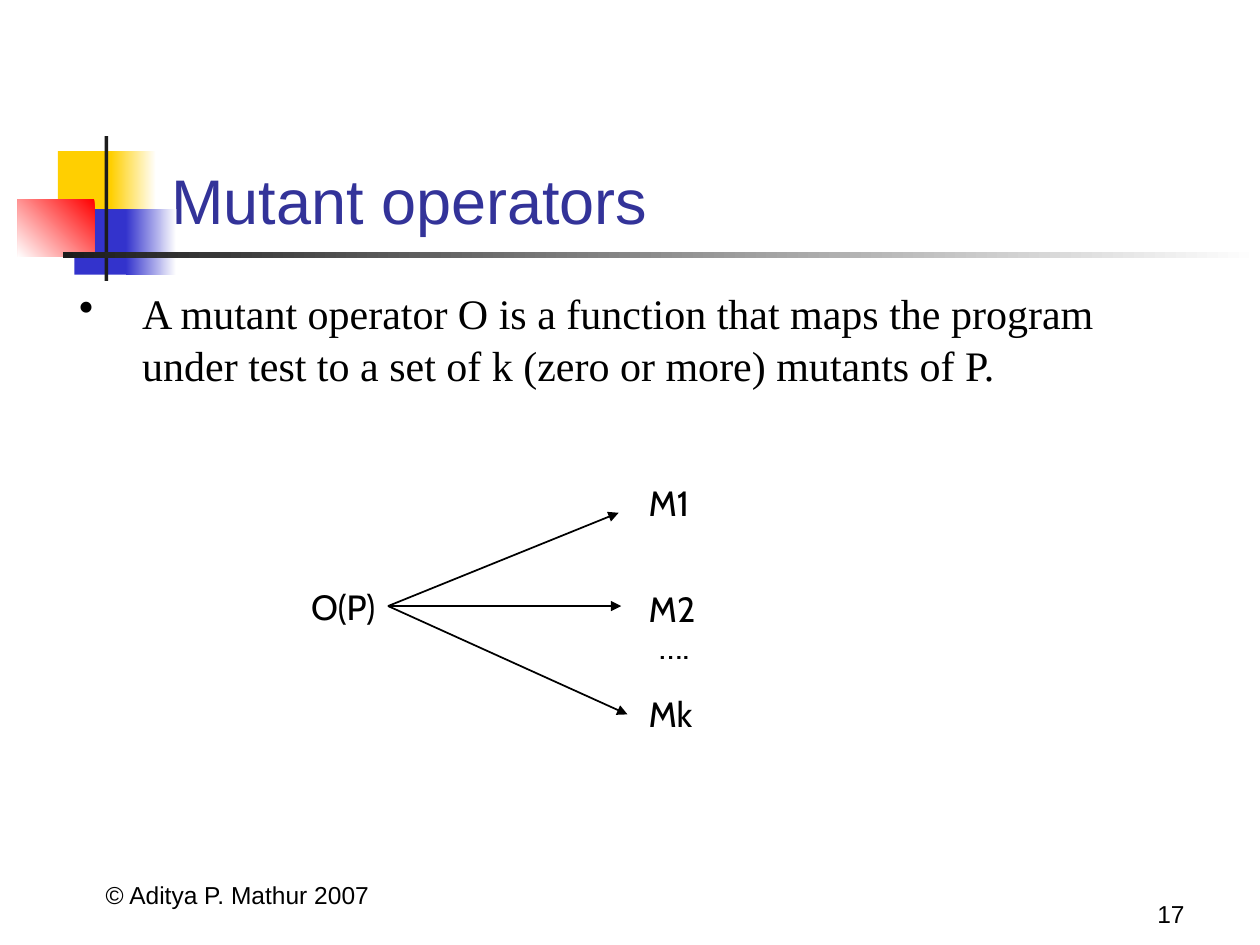
from lxml import etree
from pptx import Presentation
from pptx.dml.color import RGBColor
from pptx.enum.shapes import MSO_CONNECTOR, MSO_SHAPE
from pptx.enum.text import MSO_ANCHOR, PP_ALIGN
from pptx.oxml.ns import qn
from pptx.util import Pt

PX = 9144  # 100 px to the inch
RECT = MSO_SHAPE.RECTANGLE
LINE = MSO_CONNECTOR.STRAIGHT
TOP, BOTTOM = MSO_ANCHOR.TOP, MSO_ANCHOR.BOTTOM
LEFT, MID, RIGHT = PP_ALIGN.LEFT, PP_ALIGN.CENTER, PP_ALIGN.RIGHT

BLACK = RGBColor(0, 0, 0)
WHITE = RGBColor(255, 255, 255)
GOLD = RGBColor(0xFF, 0xCF, 0x01)
BLUE = RGBColor(0x33, 0x33, 0xCC)
RED = RGBColor(0xFF, 0, 0)
DARK = RGBColor(0x1C, 0x1C, 0x1C)
NAVY = RGBColor(0x33, 0x33, 0x99)


def emu(*nums):
    return [n * PX for n in nums]


def style(para, font, size, color=BLACK):
    for run in para.runs:
        run.font.name = font
        run.font.size = Pt(size)
        run.font.color.rgb = color


def label(slide, box, text, font, size, align=LEFT, anchor=TOP, wrap=True):
    frame = slide.shapes.add_textbox(*emu(*box)).text_frame
    frame.word_wrap = wrap
    frame.vertical_anchor = anchor
    frame.text = text
    para = frame.paragraphs[0]
    para.alignment = align
    style(para, font, size)
    return para


def block(slide, box, color, fade=None):
    """Add a plain block, or one that fades to white at the angle given."""
    shape = slide.shapes.add_shape(RECT, *emu(*box))
    shape.shadow.inherit = False
    shape.line.fill.background()
    if fade is None:
        shape.fill.solid()
        shape.fill.fore_color.rgb = color
        return
    shape.fill.gradient()
    shape.fill.gradient_angle = fade
    for stop, tone in zip(shape.fill.gradient_stops, (color, WHITE)):
        stop.color.rgb = tone


def motif(slide, x, y):
    """Draw the coloured blocks and the two rules beside the title."""
    parts = [
        (32, 12, 48, 52, GOLD, None),
        (74, 12, 36, 52, GOLD, 0),
        (45, 58, 46, 52, BLUE, None),
        (86, 58, 40, 52, BLUE, 0),
        (0, 50, 61, 46, RED, 225),
        (69, 0, 3, 115, DARK, None),
        (36, 92, 950, 5, DARK, 0),
    ]
    for dx, dy, w, h, color, fade in parts:
        block(slide, (x + dx, y + dy, w, h), color, fade)


def title(slide, box, text):
    shape = slide.shapes.title
    shape.left, shape.top, shape.width, shape.height = emu(*box)
    frame = shape.text_frame
    frame.vertical_anchor = BOTTOM
    frame.text = text
    para = frame.paragraphs[0]
    para.alignment = LEFT
    style(para, "Arial", 36, NAVY)


def bullet(slide, box, text):
    para = label(slide, box, text, "Times New Roman", 24)
    para.line_spacing = 1.05
    props = para._p.get_or_add_pPr()
    props.set("marL", str(50 * PX))
    props.set("indent", str(-50 * PX))
    etree.SubElement(props, qn("a:buChar")).set("char", "•")


def arrow(slide, start, end):
    line = slide.shapes.add_connector(LINE, *emu(*start, *end))
    line.line.color.rgb = BLACK
    line.line.width = Pt(1)
    props = line._element.spPr
    etree.SubElement(props.find(qn("a:ln")), qn("a:tailEnd")).set("type", "triangle")
    etree.SubElement(props, qn("a:effectLst"))


def fan(slide, x, y):
    """Draw the operator and the mutants it maps to."""
    nodes = [
        ("O(P)", 0, 83, 75),
        ("M1", 268, 0, 61),
        ("M2", 268, 84, 61),
        ("Mk", 268, 168, 60),
        ("….", 276, 114, 49),
    ]
    for text, dx, dy, w in nodes:
        label(slide, (x + dx, y + dy, w, 44), text, "Cabin", 20, wrap=False)
    hub = (x + 71, y + 104)
    for dx, dy in ((254, 30), (256, 104), (261, 190)):
        arrow(slide, hub, (x + dx, y + dy))


def footer(slide, y):
    label(slide, (30, y, 317, 50), "© Aditya P. Mathur 2007", "Arial", 14, MID, BOTTOM)
    label(slide, (742, y + 15, 208, 50), "17", "Arial", 14, RIGHT, BOTTOM)


def main():
    deck = Presentation()
    deck.slide_width, deck.slide_height = emu(1000, 750)
    slide = deck.slides.add_slide(deck.slide_layouts[5])
    motif(slide, 14, 108)
    footer(slide, 677)
    title(slide, (126, 72, 852, 121), "Mutant operators")
    bullet(slide, (53, 221, 840, 90),
           "A mutant operator O is a function that maps the program "
           "under test to a set of k (zero or more) mutants of P.")
    fan(slide, 237, 377)
    deck.save("out.pptx")


if __name__ == "__main__":
    main()
